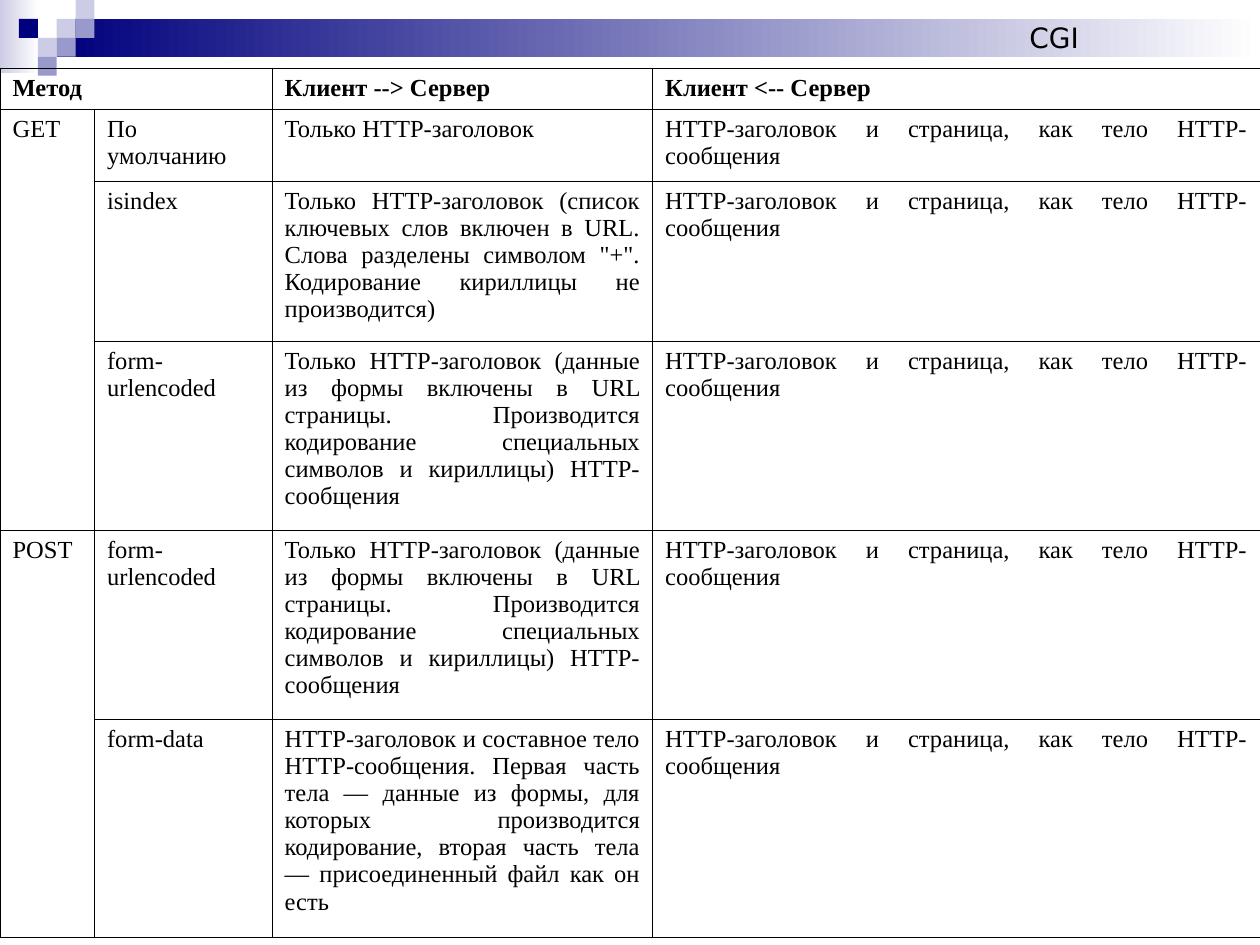
from typing import NamedTuple

from lxml.etree import SubElement
from pptx import Presentation
from pptx.dml.color import RGBColor
from pptx.enum.shapes import MSO_SHAPE as Preset
from pptx.enum.text import MSO_ANCHOR as Anchor, MSO_AUTO_SIZE as AutoSize, PP_ALIGN as Align
from pptx.oxml.ns import qn
from pptx.util import Inches, Pt

BLACK = RGBColor(0x00, 0x00, 0x00)
WHITE = RGBColor(0xFF, 0xFF, 0xFF)
NAVY = RGBColor(0x00, 0x00, 0x7D)
LAVENDER = RGBColor(0xCC, 0xCC, 0xE6)
PERIWINKLE = RGBColor(0x99, 0x99, 0xCC)

TILE = 0.15  # side of one tile of the header mosaic, in inches
TITLE_ONLY = 5
COLUMN_WIDTHS = (0.75, 1.41, 3.02, 4.82)
ROW_HEIGHTS = (0.33, 0.57, 1.27, 1.5, 1.5, 1.73)
TABLE_TOP = 0.54

URLENCODED_REQUEST = (
    "Только HTTP-заголовок (данные из формы включены в URL страницы. Производится "
    "кодирование специальных символов и кириллицы) HTTP-сообщения"
)
RESPONSE = "HTTP-заголовок и страница, как тело HTTP-сообщения"


class Band(NamedTuple):
    """Gradient rectangle fading to white, measured in tiles."""
    column: float
    row: float
    columns: float
    rows: float
    color: RGBColor


class Tile(NamedTuple):
    column: int
    row: int
    color: RGBColor


class Exchange(NamedTuple):
    method: str
    variant: str
    request: str
    response: str


class Merge(NamedTuple):
    first: tuple[int, int]
    last: tuple[int, int]


BANDS = (
    Band(0, 0, 2.07, 3.87, LAVENDER),
    Band(3, 1, 63.67, 2, NAVY),
)
TILES = (
    Tile(3, 1, LAVENDER),
    Tile(4, 0, LAVENDER),
    Tile(4, 1, PERIWINKLE),
    Tile(2, 2, LAVENDER),
    Tile(1, 1, NAVY),
    Tile(3, 2, PERIWINKLE),
    Tile(2, 3, PERIWINKLE),
)
EXCHANGES = (
    Exchange("Метод", "", "Клиент --> Сервер", "Клиент <-- Сервер"),
    Exchange("GET", "По умолчанию", "Только HTTP-заголовок", RESPONSE),
    Exchange(
        "", "isindex",
        "Только HTTP-заголовок (список ключевых слов включен в URL. Слова разделены "
        'символом "+". Кодирование кириллицы не производится)',
        RESPONSE,
    ),
    Exchange("", "form-urlencoded", URLENCODED_REQUEST, RESPONSE),
    Exchange("POST", "form-urlencoded", URLENCODED_REQUEST, RESPONSE),
    Exchange(
        "", "form-data",
        "HTTP-заголовок и составное тело HTTP-сообщения. Первая часть тела — данные из "
        "формы, для которых производится кодирование, вторая часть тела — "
        "присоединенный файл как он есть",
        RESPONSE,
    ),
)
MERGES = (Merge((0, 0), (0, 1)), Merge((1, 0), (3, 0)), Merge((4, 0), (5, 0)))


def add_block(page, column: float, row: float, columns: float = 1, rows: float = 1):
    """Add an outline-free rectangle placed on the tile grid."""
    lengths = (Inches(TILE * count) for count in (column, row, columns, rows))
    block = page.shapes.add_shape(Preset.RECTANGLE, *lengths)
    block.shadow.inherit = False
    block.line.fill.background()
    return block


def draw_band(page, band: Band) -> None:
    fill = add_block(page, *band[:4]).fill
    fill.gradient()
    fill.gradient_angle = 0
    for stop, color in zip(fill.gradient_stops, (band.color, WHITE)):
        stop.color.rgb = color


def draw_tile(page, tile: Tile) -> None:
    fill = add_block(page, tile.column, tile.row).fill
    fill.solid()
    fill.fore_color.rgb = tile.color


def format_runs(para, font_name: str, size: int, bold: bool = False) -> None:
    for span in para.runs:
        span.font.name = font_name
        span.font.size = Pt(size)
        span.font.bold = bold
        span.font.color.rgb = BLACK


def add_borders(cell, color: RGBColor, width: float) -> None:
    properties = cell._tc.get_or_add_tcPr()
    for side in ("lnL", "lnR", "lnT", "lnB"):
        line = SubElement(properties, qn(f"a:{side}"), w=str(Pt(width)))
        fill = SubElement(line, qn("a:solidFill"))
        SubElement(fill, qn("a:srgbClr"), val=str(color))


def draw_exchange_table(page) -> None:
    frame = page.shapes.add_table(
        len(ROW_HEIGHTS), len(COLUMN_WIDTHS), 0, Inches(TABLE_TOP),
        Inches(sum(COLUMN_WIDTHS)), Inches(sum(ROW_HEIGHTS)),
    )
    table = frame.table
    table.first_row = table.horz_banding = False
    for column, width in zip(table.columns, COLUMN_WIDTHS):
        column.width = Inches(width)
    for row, height in zip(table.rows, ROW_HEIGHTS):
        row.height = Inches(height)
    for index, exchange in enumerate(EXCHANGES):
        for cell, text in zip(table.rows[index].cells, exchange):
            add_borders(cell, BLACK, 0.45)
            cell.fill.background()
            cell.text_frame.text = text
            para = cell.text_frame.paragraphs[0]
            para.alignment = Align.JUSTIFY
            format_runs(para, "Times New Roman", 14, bold=index == 0)
    for merge in MERGES:
        table.cell(*merge.first).merge(table.cell(*merge.last))


def place_title(page, text: str) -> None:
    """Put the title at the right end of the header band, in front of it."""
    title = page.shapes.title
    title.left, title.top = Inches(8.07), Inches(0.11)
    title.width, title.height = Inches(1.93), Inches(0.37)
    frame = title.text_frame
    frame.text = text
    frame.word_wrap = True
    frame.auto_size = AutoSize.SHAPE_TO_FIT_TEXT
    frame.vertical_anchor = Anchor.TOP
    para = frame.paragraphs[0]
    para.alignment = Align.LEFT
    format_runs(para, "DejaVu Sans", 16)
    page.shapes._spTree.append(title._element)


def main() -> None:
    deck = Presentation()
    deck.slide_width, deck.slide_height = Inches(10), Inches(7.5)
    page = deck.slides.add_slide(deck.slide_layouts[TITLE_ONLY])
    for band in BANDS:
        draw_band(page, band)
    for tile in TILES:
        draw_tile(page, tile)
    draw_exchange_table(page)
    place_title(page, "CGI")
    deck.save("out.pptx")


if __name__ == "__main__":
    main()
